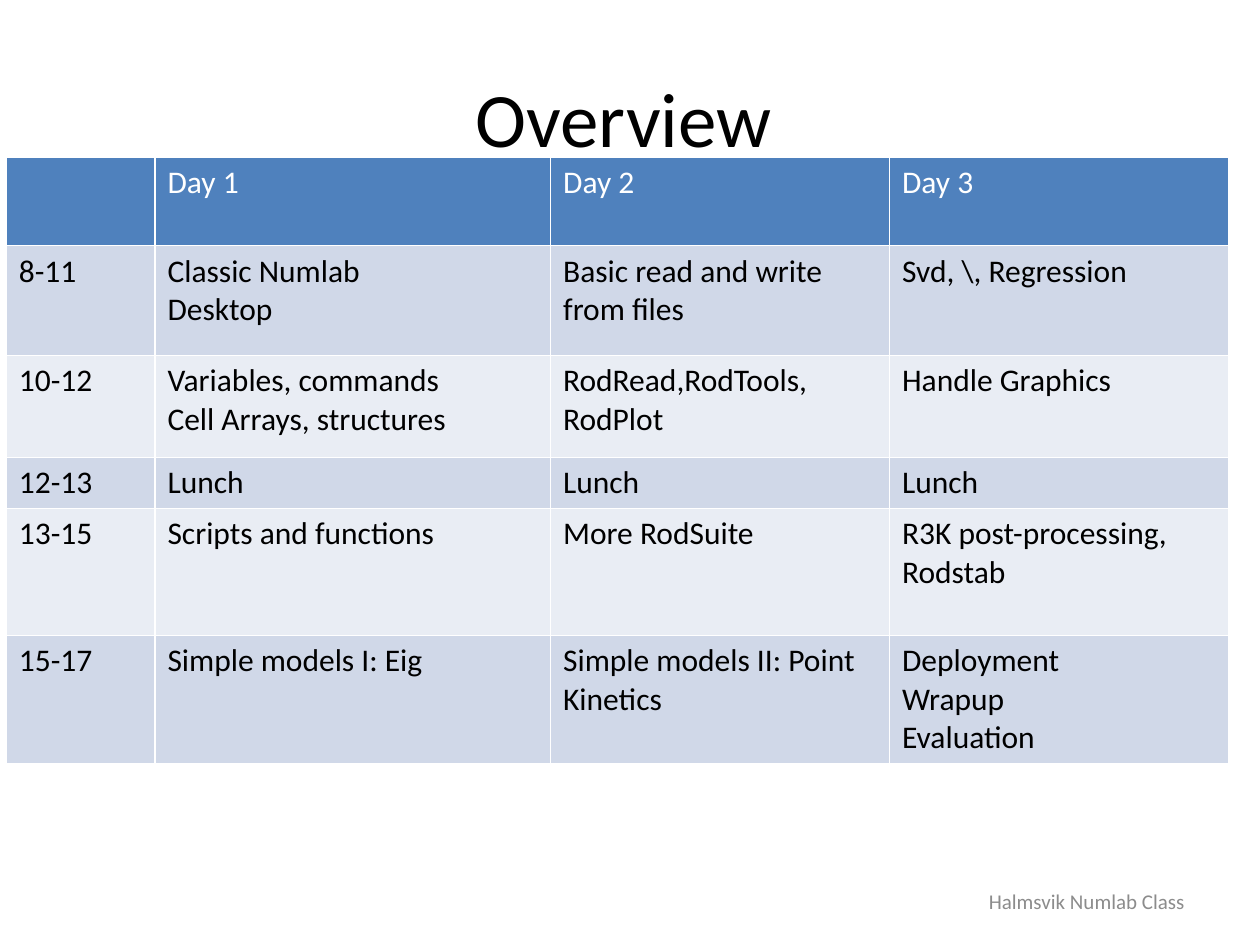
from typing import NamedTuple

from lxml import etree
from pptx import Presentation
from pptx import util as u
from pptx.dml.color import RGBColor
from pptx.enum import text
from pptx.oxml.ns import qn

WIDTH, HEIGHT = u.Inches(10), u.Inches(7.5)
UNIT = WIDTH / 100  # the slide is a grid of 100 columns by 75 rows
FONT = "Calibri"
WHITE, BLACK, GREY = "FFFFFF", "000000", "8C8C8C"
HEADER, BANDS = "4F81BD", ("D0D8E8", "E9EDF4")


def grid(count: float) -> u.Emu:
    return u.Emu(round(count * UNIT))


class Box(NamedTuple):
    """Place in grid columns and rows."""
    left: float
    top: float
    width: float
    height: float

    def lengths(self) -> tuple:
        return tuple(grid(count) for count in self)


class Row(NamedTuple):
    height: float  # grid rows
    cells: tuple


TITLE_BOX = Box(5.4, 3, 88.2, 12.5)
TABLE_BOX = Box(0.5, 12.5, 97, 48)
FOOTER_BOX = Box(71.7, 69.5, 23.3, 4)
COLUMNS = (11.8, 31.4, 26.9, 26.9)  # grid columns

# "\n" starts a paragraph, "\v" breaks a line
SCHEDULE = (
    Row(7, ("", "Day 1", "Day 2", "Day 3")),
    Row(8.7, ("8-11", "Classic Numlab\vDesktop",
              "Basic read and write from files", "Svd, \\, Regression")),
    Row(8.1, ("10-12", "Variables, commands\nCell Arrays, structures",
              "RodRead,RodTools, RodPlot", "Handle Graphics")),
    Row(4, ("12-13", "Lunch", "Lunch", "Lunch")),
    Row(10.1, ("13-15", "Scripts and functions", "More RodSuite",
               "R3K post-processing, Rodstab")),
    Row(10.1, ("15-17", "Simple models I: Eig",
               "Simple models II: Point Kinetics",
               "Deployment\vWrapup\nEvaluation")),
)


def rgb(value: str) -> RGBColor:
    return RGBColor.from_string(value)


def write(tf, words: str, size: float, color: str, align=text.PP_ALIGN.LEFT) -> None:
    tf.text = words
    style = {"size": u.Pt(size), "name": FONT, "bold": False}
    for p in tf.paragraphs:
        p.alignment = align
        for r in p.runs:
            for name, value in style.items():
                setattr(r.font, name, value)
            r.font.color.rgb = rgb(color)


def place(sp, box: Box) -> None:
    for name, value in zip(("left", "top", "width", "height"), box.lengths()):
        setattr(sp, name, value)


def set_borders(cell) -> None:
    """Draw white cell borders, placed before the cell's fill."""
    tc_pr = cell._tc.get_or_add_tcPr()
    for i, tag in enumerate(("a:lnL", "a:lnR", "a:lnT", "a:lnB")):
        ln = etree.Element(qn(tag), w=str(u.Pt(1)))
        fill = etree.SubElement(ln, qn("a:solidFill"))
        etree.SubElement(fill, qn("a:srgbClr"), val=WHITE)
        tc_pr.insert(i, ln)


def add_schedule(s, rows: tuple) -> None:
    table = s.shapes.add_table(len(rows), len(COLUMNS), *TABLE_BOX.lengths()).table
    for column, width in zip(table.columns, COLUMNS):
        column.width = grid(width)
    for i, row in enumerate(rows):
        table.rows[i].height = grid(row.height)
        is_header = i == 0
        for j, words in enumerate(row.cells):
            cell = table.cell(i, j)
            write(cell.text_frame, words, 18, WHITE if is_header else BLACK)
            cell.fill.solid()
            cell.fill.fore_color.rgb = rgb(HEADER if is_header else BANDS[(i - 1) % 2])
            set_borders(cell)


def add_footer(s, words: str) -> None:
    tf = s.shapes.add_textbox(*FOOTER_BOX.lengths()).text_frame
    tf.word_wrap = True
    tf.vertical_anchor = text.MSO_ANCHOR.MIDDLE
    write(tf, words, 12, GREY, text.PP_ALIGN.RIGHT)


def main() -> None:
    prs = Presentation()
    prs.slide_width, prs.slide_height = WIDTH, HEIGHT
    s = prs.slides.add_slide(prs.slide_layouts[5])

    # Title
    title = s.shapes.title
    place(title, TITLE_BOX)
    title.text_frame.vertical_anchor = text.MSO_ANCHOR.MIDDLE
    write(title.text_frame, "Overview", 44, BLACK, text.PP_ALIGN.CENTER)

    # Timetable and footer
    add_schedule(s, SCHEDULE)
    add_footer(s, "Halmsvik Numlab Class")

    prs.save("out.pptx")


if __name__ == "__main__":
    main()
